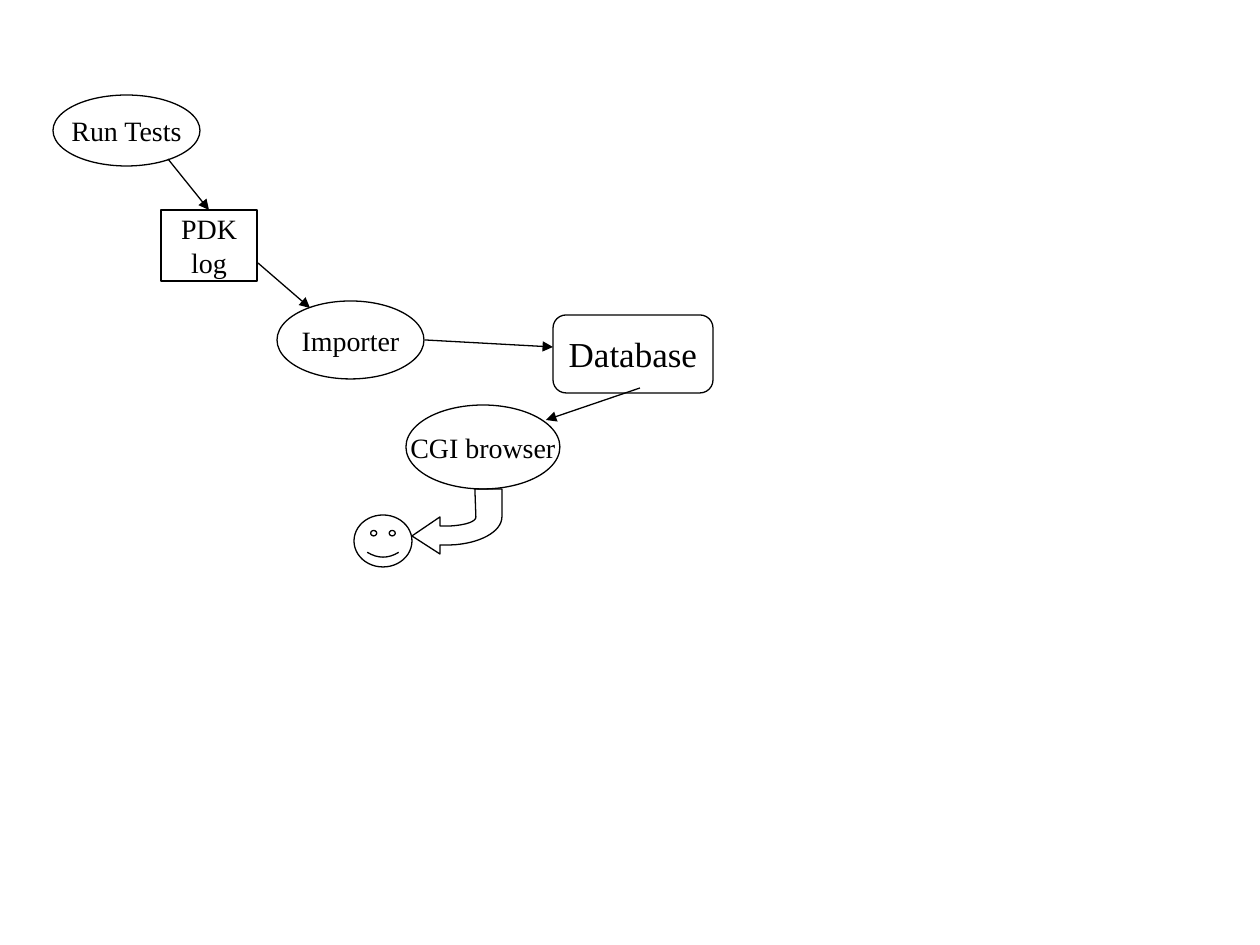
from lxml import etree
from pptx import Presentation
from pptx.dml.color import RGBColor
from pptx.enum.shapes import MSO_CONNECTOR, MSO_SHAPE
from pptx.enum.text import MSO_ANCHOR, PP_ALIGN
from pptx.oxml.ns import qn
from pptx.util import Pt

OVAL, RECT = MSO_SHAPE.OVAL, MSO_SHAPE.RECTANGLE
ROUNDED, FACE = MSO_SHAPE.FLOWCHART_ALTERNATE_PROCESS, MSO_SHAPE.SMILEY_FACE
STRAIGHT = MSO_CONNECTOR.STRAIGHT
MIDDLE, CENTER = MSO_ANCHOR.MIDDLE, PP_ALIGN.CENTER
TOP_SITE = 0

PX = 914400 / 126
BLACK = RGBColor(0, 0, 0)
FONT = "Times New Roman"
CURVE_STEPS = 16

# Steps: name, preset, (left, top, width, height), lines of text, text size
STEPS = [
    ("tests", OVAL, (53, 95, 147, 71), ["Run Tests"], 16),
    ("log", RECT, (161, 210, 96, 71), ["PDK", "log"], 16),
    ("importer", OVAL, (277, 301, 147, 78), ["Importer"], 16),
    ("database", ROUNDED, (553, 315, 160, 78), ["Database"], 20),
    ("browser", OVAL, (406, 405, 154, 84), ["CGI browser"], 16),
    ("user", FACE, (354, 515, 58, 52), [], 16),
]

# Arrows: start, end, step joined at its top (if any)
ARROWS = [
    ((168, 159), (206, 210), "log"),
    ((258, 263), (310, 308), None),
    ((425, 340), (553, 347), None),
    ((640, 388), (546, 420), None),
]

# Bent arrow from browser to user: one point is a line, three are a Bezier curve
BENT_START = (502, 489)
BENT_SEGMENTS = [
    [(502, 517)],
    [(502, 532), (479, 544), (451, 545)],
    [(440, 545)], [(440, 554)], [(412, 536)], [(440, 517)], [(440, 526)], [(451, 526)],
    [(465, 525), (476, 522), (476, 517)],
    [(475, 489)],
]


def emu(px):
    return round(px * PX)


def style_outline(item):
    item.line.color.rgb = BLACK
    item.line.width = Pt(0.75)


def style_shape(shape):
    shape.shadow.inherit = False
    shape.fill.background()
    style_outline(shape)


def add_step(slide, preset, frame, lines, size):
    shape = slide.shapes.add_shape(preset, *map(emu, frame))
    style_shape(shape)
    if lines:
        text = shape.text_frame
        text.word_wrap = False
        text.vertical_anchor = MIDDLE
        para = text.paragraphs[0]
        para.alignment = CENTER
        font_format = {"name": FONT, "size": Pt(size)}
        for index, line in enumerate(lines):
            if index:
                para.add_line_break()
            span = para.add_run()
            span.text = line
            for key, value in font_format.items():
                setattr(span.font, key, value)
            span.font.color.rgb = BLACK
    return shape


def add_arrow(slide, start, end, target):
    arrow = slide.shapes.add_connector(STRAIGHT, *map(emu, start + end))
    if target is not None:
        arrow.end_connect(target, TOP_SITE)
    style_outline(arrow)
    etree.SubElement(arrow.line._get_or_add_ln(), qn("a:tailEnd"), type="triangle")
    etree.SubElement(arrow._element.spPr, qn("a:effectLst"))


def curve_points(start, first, second, end):
    for step in range(1, CURVE_STEPS + 1):
        t = step / CURVE_STEPS
        weights = ((1 - t) ** 3, 3 * t * (1 - t) ** 2, 3 * t * t * (1 - t), t ** 3)
        points = (start, first, second, end)
        yield tuple(sum(w * p[axis] for w, p in zip(weights, points)) for axis in (0, 1))


def add_bent_arrow(slide):
    outline, current = [], BENT_START
    for segment in BENT_SEGMENTS:
        outline += segment if len(segment) == 1 else curve_points(current, *segment)
        current = segment[-1]
    builder = slide.shapes.build_freeform(*map(emu, BENT_START))
    builder.add_line_segments([(emu(x), emu(y)) for x, y in outline], close=True)
    style_shape(builder.convert_to_shape())


def main():
    deck = Presentation()
    deck.slide_width, deck.slide_height = emu(1260), emu(945)
    slide = deck.slides.add_slide(deck.slide_layouts[6])

    # Steps first, so that arrows can join them
    steps = {name: add_step(slide, *details) for name, *details in STEPS}
    for start, end, target in ARROWS:
        add_arrow(slide, start, end, steps.get(target))
    add_bent_arrow(slide)

    deck.save("out.pptx")


if __name__ == "__main__":
    main()
